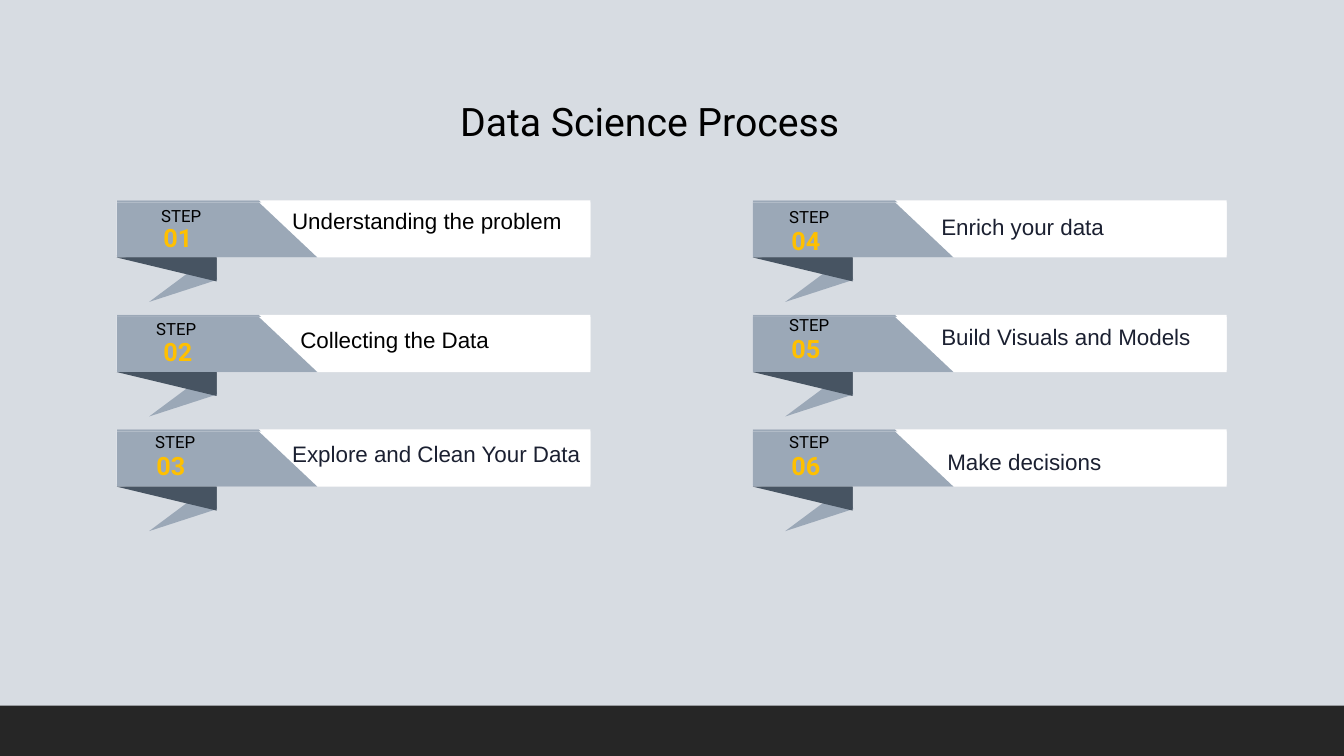
from dataclasses import dataclass

from pptx import Presentation
from pptx.dml.color import RGBColor
from pptx.enum.shapes import MSO_SHAPE
from pptx.enum.text import MSO_AUTO_SIZE, PP_ALIGN
from pptx.oxml.ns import qn
from pptx.util import Pt

RECT = MSO_SHAPE.RECTANGLE
WEDGE = MSO_SHAPE.RIGHT_TRIANGLE
GROW = MSO_AUTO_SIZE.SHAPE_TO_FIT_TEXT
LEFT, CENTER = PP_ALIGN.LEFT, PP_ALIGN.CENTER


@dataclass(frozen=True)
class Font:
    name: str
    size: float
    color: str
    bold: bool = False


@dataclass(frozen=True)
class Theme:
    back: str = "D7DCE2"
    foot: str = "262626"
    panel: str = "FFFFFF"
    ribbon: str = "9BA8B7"
    fold: str = "475462"
    title: Font = Font("Roboto", 28, "000000")
    label: Font = Font("Roboto", 12, "000000")
    number: Font = Font("Roboto", 18, "FFC000", True)
    black: Font = Font("Arial", 16, "000000")
    ink: Font = Font("Arial", 16, "1B2031")


@dataclass(frozen=True)
class Box:
    x: float
    y: float
    w: float
    h: float


@dataclass(frozen=True)
class Step:
    """One step; each pair is the left and top of a text box."""
    label: tuple[float, float]
    number: tuple[float, float]
    text: str
    place: tuple[float, float]
    width: float
    font: Font


THEME = Theme()
COLS = (83.4, 537.8)
TOP, PITCH, ROWS = 143.1, 81.85, 3
LAYERS = (0, 1.44)
WIDTH, HEIGHT = 338.4, 39.4
FLAT, TIP = 101.5, 143.3
STEPS = (
    Step((108, 143.3), (103.7, 155.5), "Understanding the problem",
         (201.6, 144.7), 225.4, THEME.black),
    Step((104.4, 223.9), (103.7, 236.9), "Collecting the Data",
         (207.4, 229.7), 209.5, THEME.black),
    Step((103.7, 304.6), (98.6, 318.2), "Explore and Clean Your Data",
         (201.6, 311), 238.3, THEME.ink),
    Step((556.6, 144), (552.2, 157.7), "Enrich your data",
         (665.3, 149), 225.4, THEME.ink),
    Step((556.6, 221), (552.2, 234.7), "Build Visuals and Models",
         (665.3, 227.5), 225.4, THEME.ink),
    Step((556.6, 304.6), (552.2, 318.2), "Make decisions",
         (669.6, 316.8), 206.6, THEME.ink),
)


def paint(shape, color: str) -> None:
    shape.shadow.inherit = False
    shape.fill.solid()
    shape.fill.fore_color.rgb = RGBColor.from_string(color)
    shape.line.fill.background()


def add_solid(shapes, kind, box: Box, color: str, flips: tuple = (), turn: float = 0) -> None:
    """Add a plain preset shape; flips holds flipH and flipV as needed."""
    shape = shapes.add_shape(kind, Pt(box.x), Pt(box.y), Pt(box.w), Pt(box.h))
    paint(shape, color)
    shape.rotation = turn
    for flip in flips:
        shape._element.spPr.find(qn("a:xfrm")).set(flip, "1")


def add_text(slide, text: str, box: Box, font: Font, align=LEFT) -> None:
    frame = slide.shapes.add_textbox(Pt(box.x), Pt(box.y), Pt(box.w), Pt(box.h)).text_frame
    frame.word_wrap = True
    frame.auto_size = GROW
    para = frame.paragraphs[0]
    para.text = text
    para.alignment = align
    para.font.name = font.name
    para.font.size = Pt(font.size)
    para.font.bold = font.bold
    para.font.color.rgb = RGBColor.from_string(font.color)


def add_ribbon(slide, x: float, y: float) -> None:
    """Draw the tail, then two slightly offset layers of panel, band and fold."""
    shapes = slide.shapes.add_group_shape().shapes
    add_solid(shapes, WEDGE, Box(x + 19.2, y + 47.8, 51.1, 17.3), THEME.ribbon, ("flipH",), 342)
    for shift in LAYERS:
        top = y + shift
        base = top + HEIGHT
        add_solid(shapes, RECT, Box(x, top, WIDTH, HEIGHT), THEME.panel)
        path = shapes.build_freeform(Pt(x), Pt(top))
        path.add_line_segments(
            [(Pt(x + FLAT), Pt(top)), (Pt(x + TIP), Pt(base)), (Pt(x), Pt(base))])
        paint(path.convert_to_shape(), THEME.ribbon)
        add_solid(shapes, WEDGE, Box(x, base, 71.3, 17.1), THEME.fold, ("flipH", "flipV"))


def main() -> None:
    deck = Presentation()
    deck.slide_width, deck.slide_height = Pt(960), Pt(540)
    slide = deck.slides.add_slide(deck.slide_layouts[6])
    slide.background.fill.solid()
    slide.background.fill.fore_color.rgb = RGBColor.from_string(THEME.back)
    add_solid(slide.shapes, RECT, Box(0, 504, 960, 36), THEME.foot)

    for index in range(len(STEPS)):
        col, row = divmod(index, ROWS)
        add_ribbon(slide, COLS[col], TOP + row * PITCH)
    for index, step in enumerate(STEPS, 1):
        add_text(slide, "STEP", Box(*step.label, 46.8, 21.8), THEME.label)
        add_text(slide, f"{index:02}", Box(*step.number, 46.8, 29.1), THEME.number, CENTER)
        add_text(slide, step.text, Box(*step.place, step.width, 26.6), step.font)
    add_text(slide, "Data Science Process", Box(98.6, 66.2, 730.8, 41.2), THEME.title, CENTER)
    deck.save("out.pptx")


if __name__ == "__main__":
    main()
